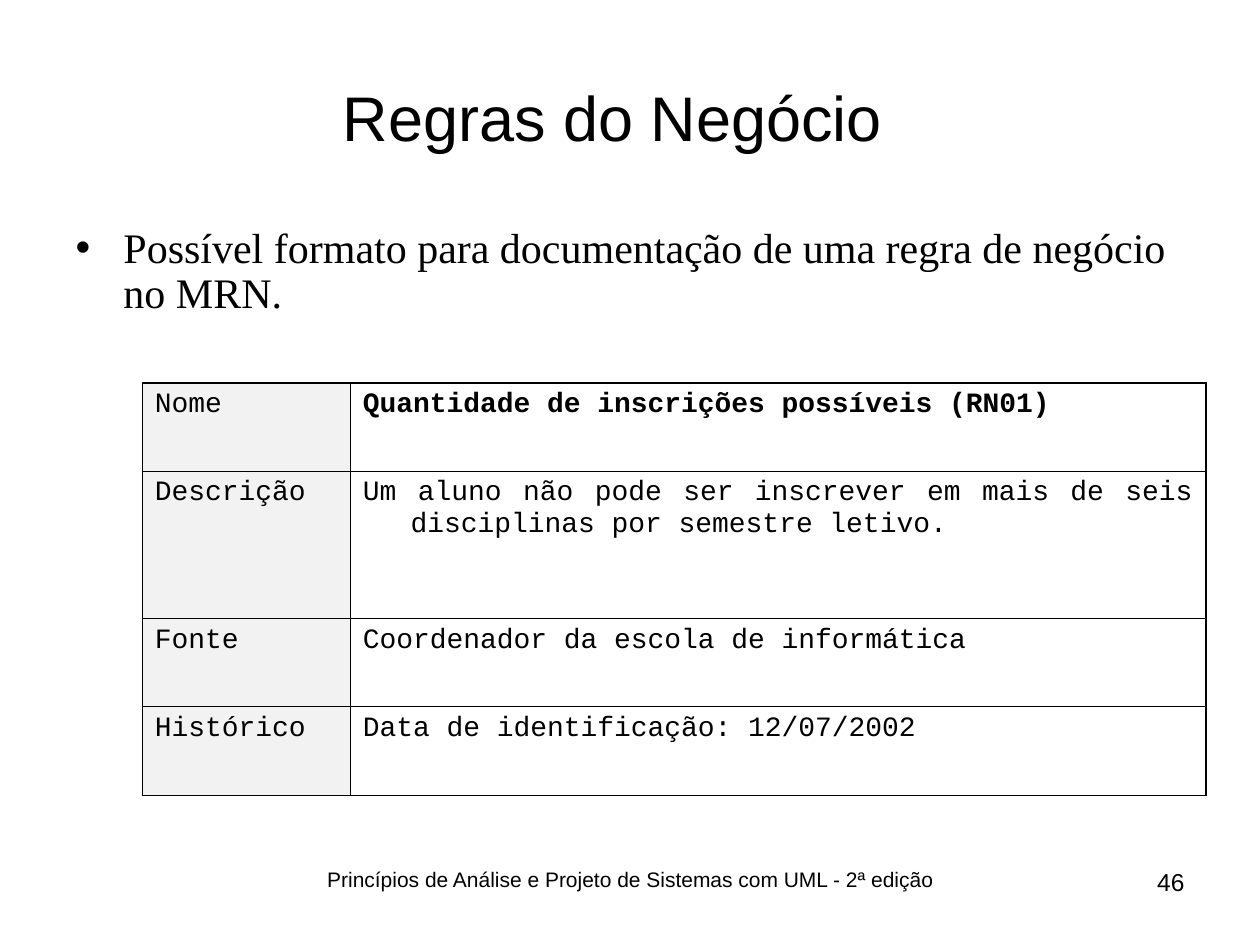
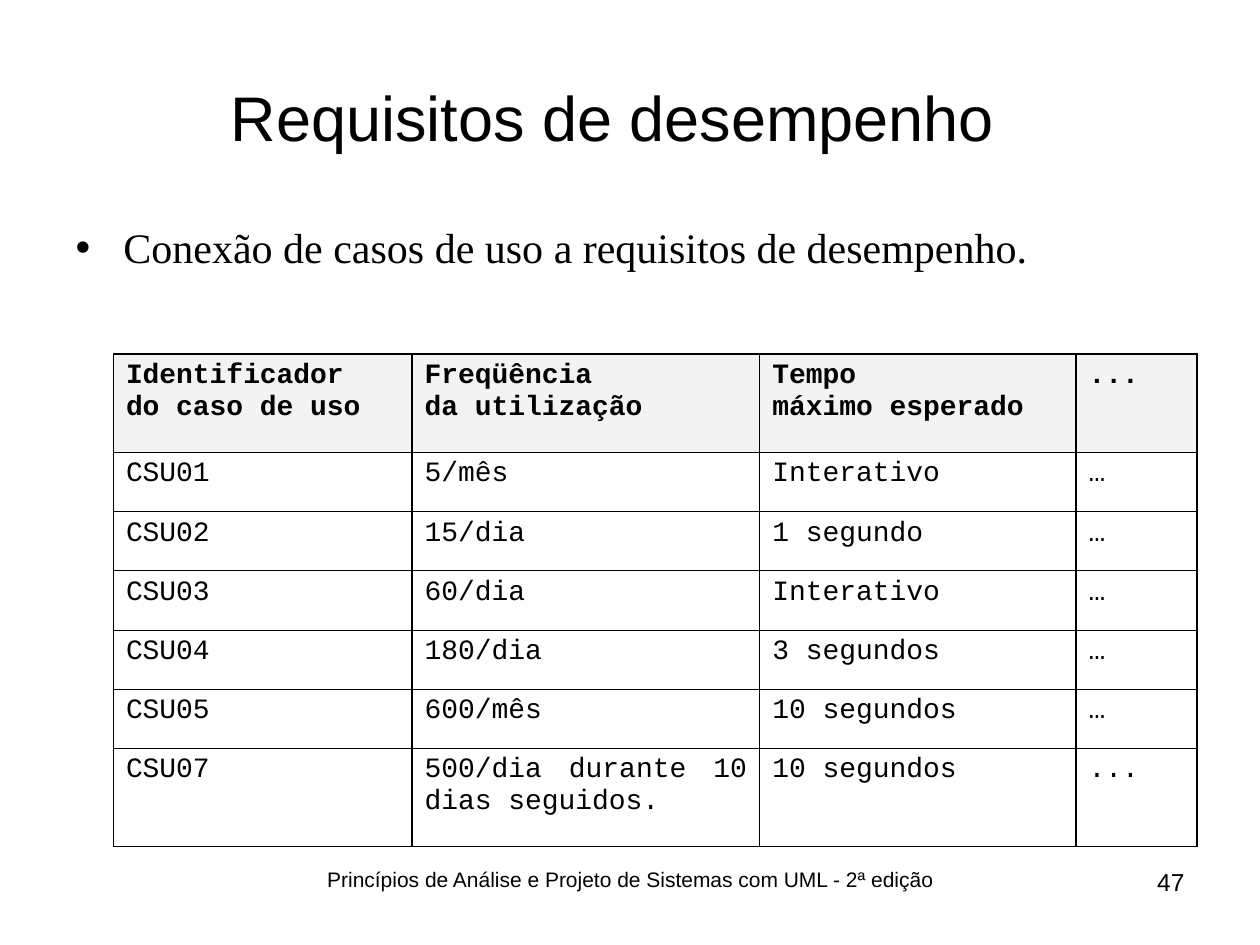
import pptx
import pptx.dml.color
import pptx.enum.text
import pptx.util
import lxml.etree
from pptx.util import Inches

ALIGN = pptx.enum.text.PP_ALIGN
ANCHOR = pptx.enum.text.MSO_ANCHOR
NAMESPACE = "{http://schemas.openxmlformats.org/drawingml/2006/main}"

BLACK = "000000"
WHITE = "FFFFFF"
THIN, MEDIUM, THICK = 0.45, 0.96, 1.47

TITLE_FONT = {"name": "Arial", "size": 36}
BODY_FONT = {"name": "Times New Roman", "size": 24}
FOOTER_FONT = {"name": "Arial", "size": 12}
NUMBER_FONT = {"name": "Arial", "size": 14}
CELL_FONT = {"name": "Courier New", "size": 16}

TITLE_BOX = (0.5, 0.3, 9, 1.25)
BODY_BOX = (0.5, 1.75, 9, 1.05)
FOOTER_BOX = (1.92, 6.83, 6.17, 0.52)
NUMBER_BOX = (8.17, 6.83, 1.33, 0.52)
HANGING_INDENT = 0.38

FOOTER = "Princípios de Análise e Projeto de Sistemas com UML - 2ª edição"
SLIDES = [
    {
        "title": "Regras do Negócio",
        "bullet": "Possível formato para documentação de uma regra de negócio no MRN.",
        "number": 46,
        "table": {
            "corner": (1.13, 3.04),
            "columns": [1.65, 6.79],
            "heights": [0.7, 1.17, 0.7, 0.7],
            "indent": HANGING_INDENT,
            "rows": [
                ("Nome", "Quantidade de inscrições possíveis (RN01)"),
                ("Descrição", "Um aluno não pode ser inscrever em mais de seis "
                              "disciplinas por semestre letivo."),
                ("Fonte", "Coordenador da escola de informática"),
                ("Histórico", "Data de identificação: 12/07/2002"),
            ],
            "shade": "F2F2F2",
            "is_shaded": lambda row, column: column == 0,
            "is_bold": lambda row, column: (row, column) == (0, 1),
        },
    },
    {
        "title": "Requisitos de desempenho",
        "bullet": "Conexão de casos de uso a requisitos de desempenho.",
        "number": 47,
        "table": {
            "corner": (0.9, 2.81),
            "columns": [2.37, 2.76, 2.51, 0.96],
            "heights": [0.78] + [0.47] * 5 + [0.78],
            "indent": 0,
            "rows": [
                ("Identificador\ndo caso de uso", "Freqüência\nda utilização",
                 "Tempo\nmáximo esperado", "..."),
                ("CSU01", "5/mês", "Interativo", "…"),
                ("CSU02", "15/dia", "1 segundo", "…"),
                ("CSU03", "60/dia", "Interativo", "…"),
                ("CSU04", "180/dia", "3 segundos", "…"),
                ("CSU05", "600/mês", "10 segundos", "…"),
                ("CSU07", "500/dia durante 10 dias seguidos.", "10 segundos", "..."),
            ],
            "shade": "F3F3F3",
            "is_shaded": lambda row, column: row == 0,
            "is_bold": lambda row, column: row == 0,
        },
    },
]


def color(hex_string):
    return pptx.dml.color.RGBColor.from_string(hex_string)


def write(text_frame, text, font, alignment, indent=0, **spacing):
    """Fill a text frame with one formatted paragraph per line of text."""
    text_frame.text = text
    for paragraph in text_frame.paragraphs:
        for name, value in {"alignment": alignment, **spacing}.items():
            setattr(paragraph, name, value)
        properties = paragraph._p.get_or_add_pPr()
        properties.set("marL", str(Inches(indent)))
        properties.set("indent", str(Inches(-indent)))
        for run in paragraph.runs:
            for name, value in {"bold": False, **font}.items():
                setattr(run.font, name, pptx.util.Pt(value) if name == "size" else value)
            run.font.color.rgb = color(BLACK)


def place(shape, box, anchor=ANCHOR.TOP):
    for name, value in zip(("left", "top", "width", "height"), box):
        setattr(shape, name, Inches(value))
    frame_format = {
        "word_wrap": True,
        "auto_size": pptx.enum.text.MSO_AUTO_SIZE.NONE,
        "vertical_anchor": anchor,
    }
    for name, value in frame_format.items():
        setattr(shape.text_frame, name, value)


def add_label(slide, box, text, font, alignment):
    label = slide.shapes.add_textbox(0, 0, 0, 0)
    place(label, box)
    write(label.text_frame, text, font, alignment)


def set_borders(cell, widths):
    """Draw the cell's borders; widths are points for left, right, top, bottom."""
    properties = cell._tc.get_or_add_tcPr()
    for side, width in zip("LRTB", widths):
        line = lxml.etree.SubElement(properties, f"{NAMESPACE}ln{side}",
                                     w=str(pptx.util.Pt(width)))
        fill = lxml.etree.SubElement(line, f"{NAMESPACE}solidFill")
        lxml.etree.SubElement(fill, f"{NAMESPACE}srgbClr", val=BLACK)


def add_grid(slide, rows, columns, heights, corner, indent, shade, is_shaded, is_bold):
    size = (sum(columns), sum(heights))
    table = slide.shapes.add_table(
        len(rows), len(columns), *map(Inches, corner + size)).table
    table.first_row = table.horz_banding = False
    for column, width in zip(table.columns, columns):
        column.width = Inches(width)
    for row, height in zip(table.rows, heights):
        row.height = Inches(height)

    last_column = len(columns) - 1
    for r, texts in enumerate(rows):
        for c, text in enumerate(texts):
            cell = table.cell(r, c)
            write(cell.text_frame, text, {**CELL_FONT, "bold": is_bold(r, c)},
                  ALIGN.JUSTIFY, indent)
            set_borders(cell, (THIN if c == 0 else MEDIUM,
                               THICK if c == last_column else MEDIUM,
                               THICK if r == 0 else THIN,
                               THIN))
            if is_shaded(r, c):
                cell.fill.solid()
                cell.fill.fore_color.rgb = color(shade)
            else:
                cell.fill.background()


def add_content_slide(presentation, content):
    slide = presentation.slides.add_slide(presentation.slide_layouts[1])
    slide.background.fill.solid()
    slide.background.fill.fore_color.rgb = color(WHITE)

    title, body = slide.placeholders
    place(title, TITLE_BOX, ANCHOR.MIDDLE)
    title.text_frame.margin_right = Inches(0.38)
    write(title.text_frame, content["title"], TITLE_FONT, ALIGN.CENTER)
    place(body, BODY_BOX)
    write(body.text_frame, content["bullet"], BODY_FONT, ALIGN.LEFT, HANGING_INDENT,
          line_spacing=0.9, space_before=pptx.util.Pt(6))

    add_grid(slide, **content["table"])
    add_label(slide, FOOTER_BOX, FOOTER, FOOTER_FONT, ALIGN.CENTER)
    add_label(slide, NUMBER_BOX, str(content["number"]), NUMBER_FONT, ALIGN.RIGHT)


def main():
    presentation = pptx.Presentation()
    presentation.slide_width = Inches(10)
    presentation.slide_height = Inches(7.5)
    for content in SLIDES:
        add_content_slide(presentation, content)
    presentation.save("out.pptx")


if __name__ == "__main__":
    main()
